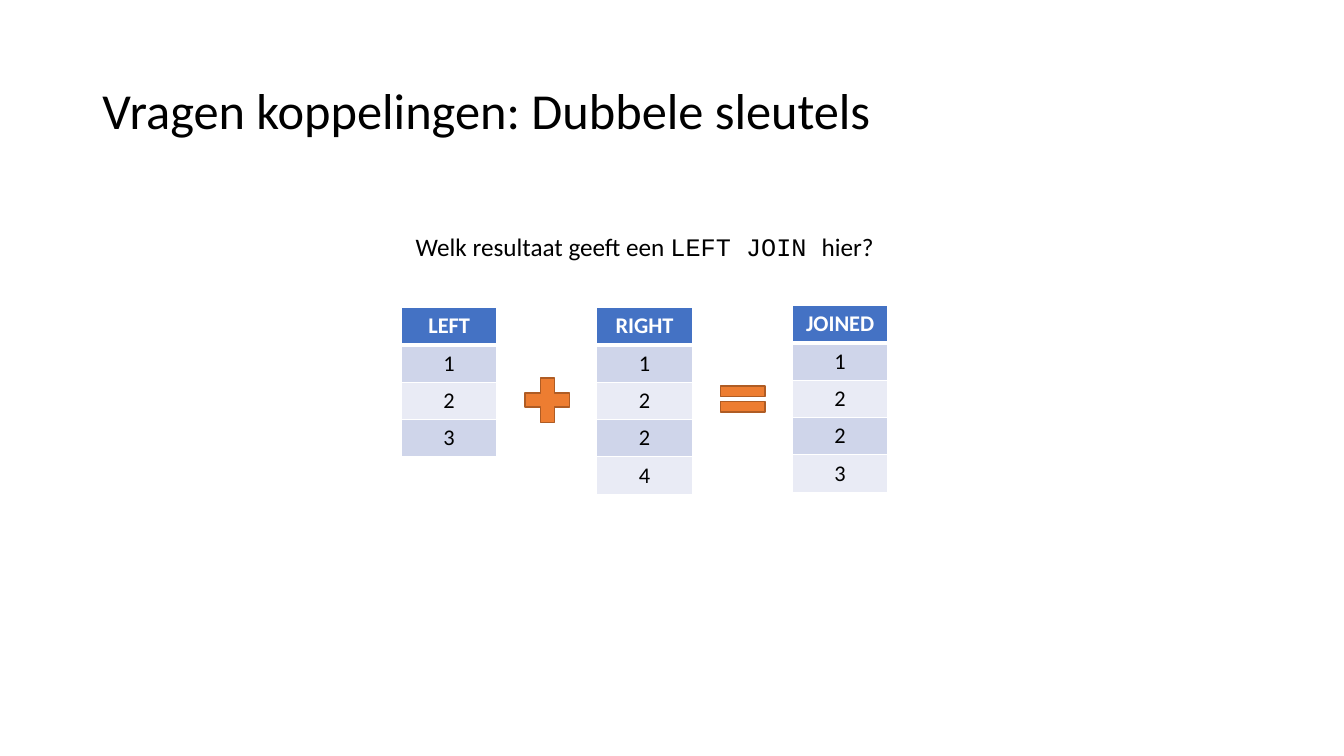
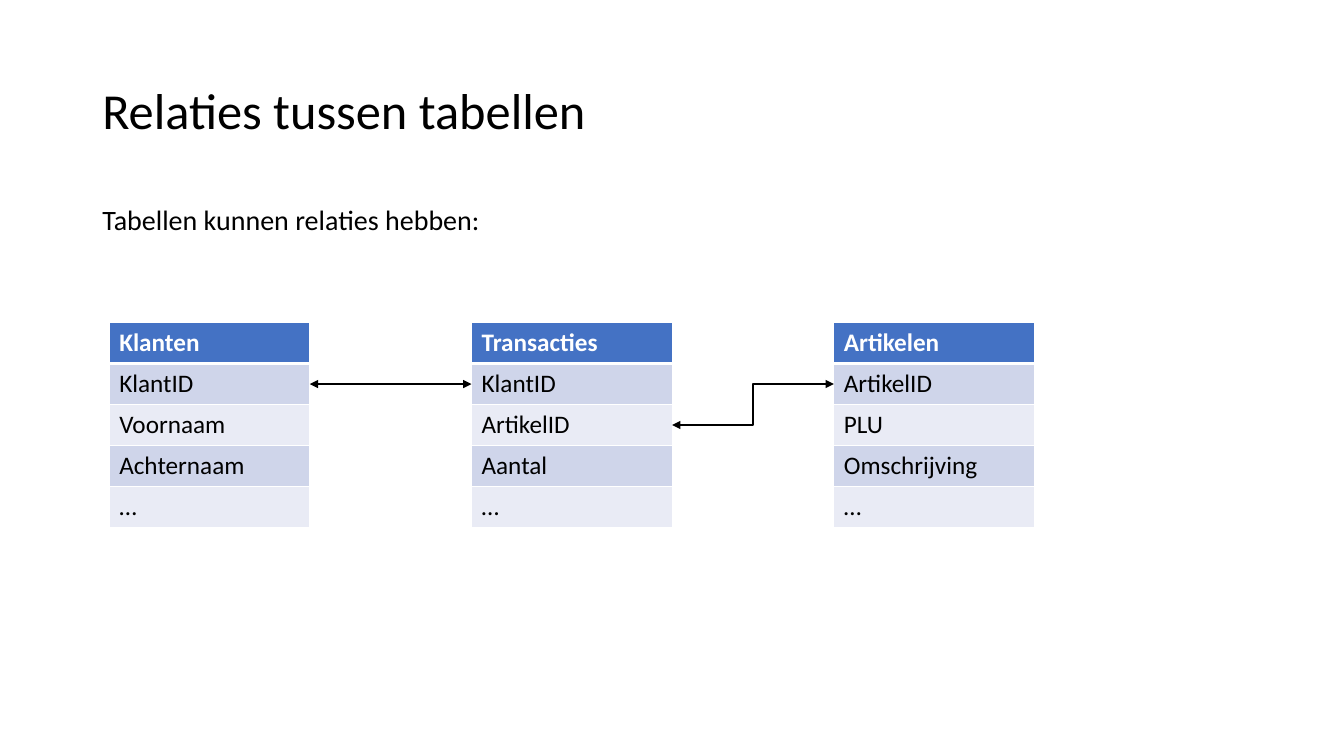
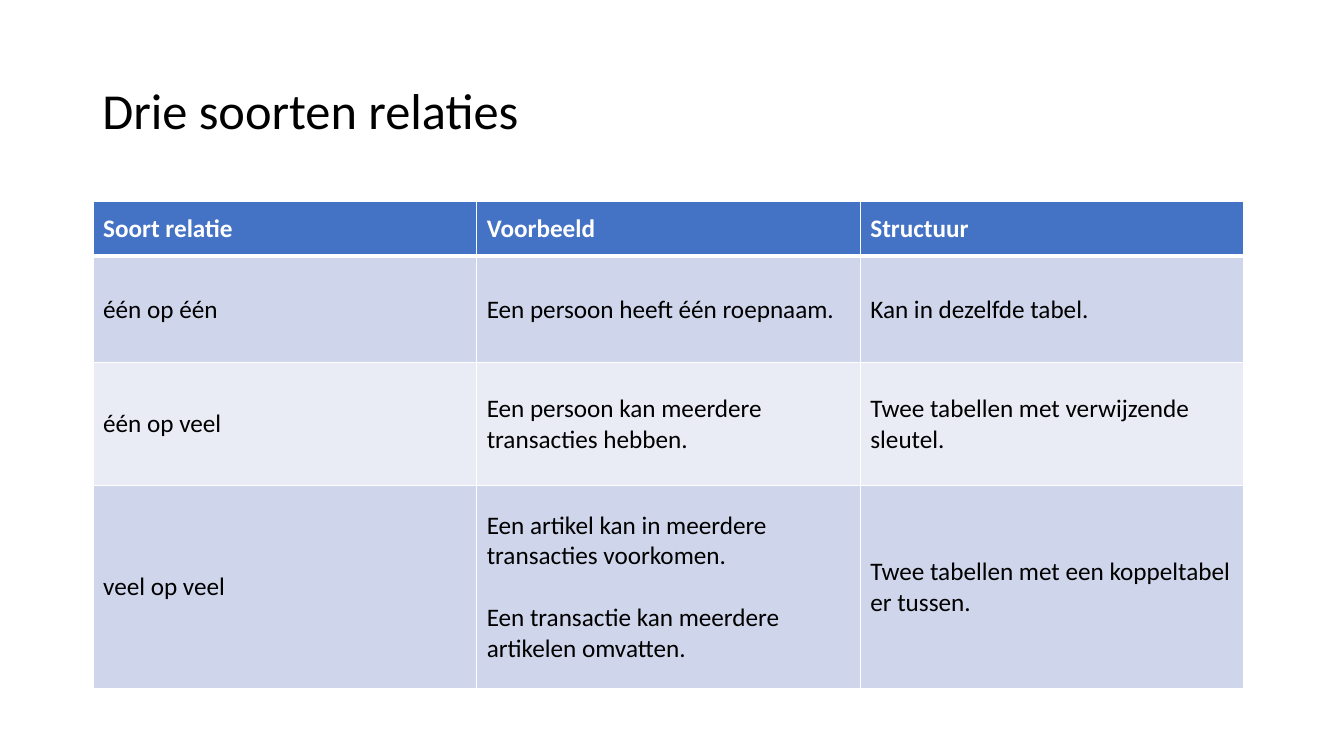
from lxml import etree
from pptx import Presentation
from pptx.dml.color import RGBColor
from pptx.enum.shapes import MSO_CONNECTOR, MSO_SHAPE
from pptx.enum.text import MSO_ANCHOR, PP_ALIGN
from pptx.oxml.ns import qn
from pptx.util import Pt

BLACK = RGBColor(0x00, 0x00, 0x00)
WHITE = RGBColor(0xFF, 0xFF, 0xFF)
BLUE = RGBColor(0x44, 0x72, 0xC4)
BANDS = [RGBColor(0xCF, 0xD5, 0xEA), RGBColor(0xE9, 0xEB, 0xF5)]
ORANGE = RGBColor(0xED, 0x7D, 0x31)
BROWN = RGBColor(0xAF, 0x5C, 0x24)
FONT, MONO = "Calibri", "Courier New"
LEFT, CENTER = PP_ALIGN.LEFT, PP_ALIGN.CENTER
TOP, MIDDLE = MSO_ANCHOR.TOP, MSO_ANCHOR.MIDDLE
PLUS, EQUAL = MSO_SHAPE.MATH_PLUS, MSO_SHAPE.MATH_EQUAL
STRAIGHT, ELBOW = MSO_CONNECTOR.STRAIGHT, MSO_CONNECTOR.ELBOW


def add_text(s, x, y, w, h, runs, size, anchor=TOP, align=LEFT, spacing=0.9):
    tf = s.shapes.add_textbox(Pt(x), Pt(y), Pt(w), Pt(h)).text_frame
    tf.word_wrap = True
    tf.vertical_anchor = anchor
    p = tf.paragraphs[0]
    p.alignment = align
    p.line_spacing = spacing
    for text, font in runs:
        r = p.add_run()
        r.text = text
        r.font.name = font
        r.font.size = Pt(size)
        r.font.color.rgb = BLACK
    return tf


def add_grid(s, x, y, widths, heights, rows, size, anchor=TOP, align=LEFT):
    table = s.shapes.add_table(len(rows), len(widths), Pt(x), Pt(y),
                               Pt(sum(widths)), Pt(sum(heights))).table
    for col, width in zip(table.columns, widths):
        col.width = Pt(width)
    for i, row in enumerate(rows):
        table.rows[i].height = Pt(heights[i])
        for j, value in enumerate(row):
            cell = table.cell(i, j)
            cell.vertical_anchor = anchor
            # White borders, thicker under the header
            tcPr = cell._tc.get_or_add_tcPr()
            for side in "LRTB":
                thick = (i, side) in [(0, "B"), (1, "T")]
                ln = etree.SubElement(tcPr, qn("a:ln" + side), w=str(Pt(3 if thick else 1)))
                fill = etree.SubElement(ln, qn("a:solidFill"))
                etree.SubElement(fill, qn("a:srgbClr"), val=str(WHITE))
            cell.fill.solid()
            cell.fill.fore_color.rgb = BANDS[(i - 1) % 2] if i else BLUE
            tf = cell.text_frame
            for k, text in enumerate(value.split("\n")):
                p = tf.add_paragraph() if k else tf.paragraphs[0]
                p.alignment = align
                if k:
                    p.space_before = Pt(22)
                r = p.add_run()
                r.text = text
                r.font.name = FONT
                r.font.size = Pt(size)
                r.font.bold = i == 0
                r.font.color.rgb = BLACK if i else WHITE


prs = Presentation()
prs.slide_width, prs.slide_height = Pt(960), Pt(540)

# Slides and titles
slides = []
for title in ["Vragen koppelingen: Dubbele sleutels",
              "Relaties tussen tabellen",
              "Drie soorten relaties"]:
    s = prs.slides.add_slide(prs.slide_layouts[6])
    add_text(s, 66, 28.8, 828, 104.4, [(title, FONT)], 36, MIDDLE)
    slides.append(s)
join_slide, relations_slide, kinds_slide = slides

# Slide 1: question and key tables
tf = add_text(join_slide, 286.6, 162, 347.8, 28.8,
              [("Welk resultaat geeft een ", FONT), ("LEFT JOIN ", MONO), ("hier?", FONT)],
              18, align=CENTER, spacing=1)
tf.margin_left = tf.margin_right = 0

key_tables = [(219.6, ["LEFT", "1", "2", "3"]),
              (219.6, ["RIGHT", "1", "2", "2", "4"]),
              (218.2, ["JOINED", "1", "2", "2", "3"])]
for n, (y, keys) in enumerate(key_tables):
    add_grid(join_slide, 286.6 + n * 139.65, y, [68.4], [26.7] * len(keys),
             [[key] for key in keys], 16, align=CENTER)

# Slide 1: operators between the tables
for kind, x, y, h in [(PLUS, 369.4, 264.2, 43.2), (EQUAL, 509, 269.3, 31.7)]:
    sp = join_slide.shapes.add_shape(kind, Pt(x), Pt(y), Pt(43.2), Pt(h))
    sp.shadow.inherit = False
    sp.fill.solid()
    sp.fill.fore_color.rgb = ORANGE
    sp.line.color.rgb = BROWN
    sp.line.width = Pt(1)

# Slide 2: related tables
add_text(relations_slide, 66, 144, 822, 342.7,
         [("Tabellen kunnen relaties hebben:", FONT)], 20)

x0, y0, table_w, row_h, pitch = 78, 230.4, 143.3, 29.3, 258.8
field_tables = [["Klanten", "KlantID", "Voornaam", "Achternaam", "…"],
                ["Transacties", "KlantID", "ArtikelID", "Aantal", "…"],
                ["Artikelen", "ArtikelID", "PLU", "Omschrijving", "…"]]
for n, fields in enumerate(field_tables):
    add_grid(relations_slide, x0 + n * pitch, y0, [table_w], [row_h] * len(fields),
             [[field] for field in fields], 18)

# Slide 2: arrows from a row of one table to a row of the next
for kind, n, row_from, row_to in [(STRAIGHT, 0, 1, 1), (ELBOW, 1, 2, 1)]:
    line = relations_slide.shapes.add_connector(
        kind, Pt(x0 + n * pitch + table_w), Pt(y0 + (row_from + 0.5) * row_h),
        Pt(x0 + (n + 1) * pitch), Pt(y0 + (row_to + 0.5) * row_h))
    line.line.color.rgb = BLACK
    line.line.width = Pt(1.5)
    ln = line.line._get_or_add_ln()
    for end in ["a:headEnd", "a:tailEnd"]:
        etree.SubElement(ln, qn(end), type="triangle")
    etree.SubElement(line._element.spPr, qn("a:effectLst"))

# Slide 3: kinds of relations
add_grid(kinds_slide, 66.5, 144, [274] * 3, [38.9, 76.3, 87.8, 144.7], [
    ["Soort relatie", "Voorbeeld", "Structuur"],
    ["één op één", "Een persoon heeft één roepnaam.", "Kan in dezelfde tabel."],
    ["één op veel", "Een persoon kan meerdere transacties hebben.",
     "Twee tabellen met verwijzende sleutel."],
    ["veel op veel",
     "Een artikel kan in meerdere transacties voorkomen.\n"
     "Een transactie kan meerdere artikelen omvatten.",
     "Twee tabellen met een koppeltabel er tussen."],
], 18, MIDDLE)

prs.save("out.pptx")
